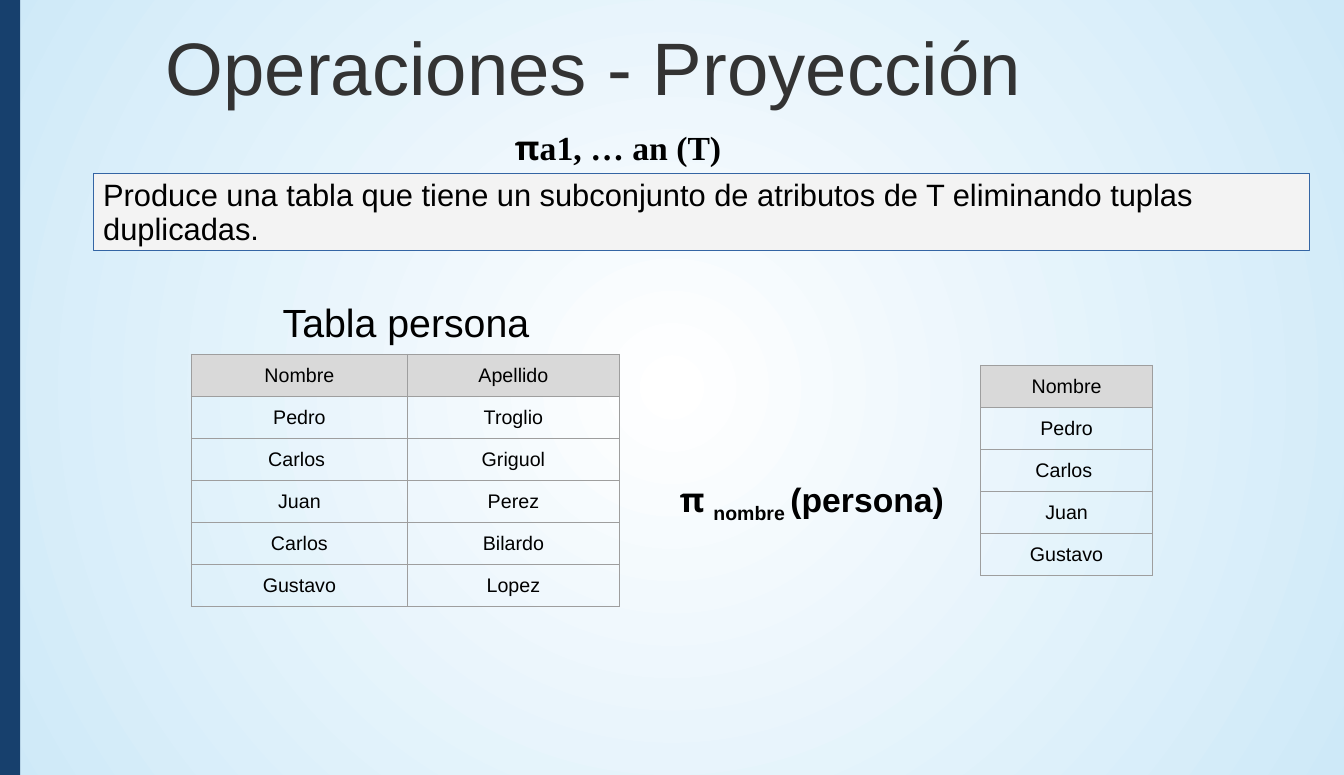
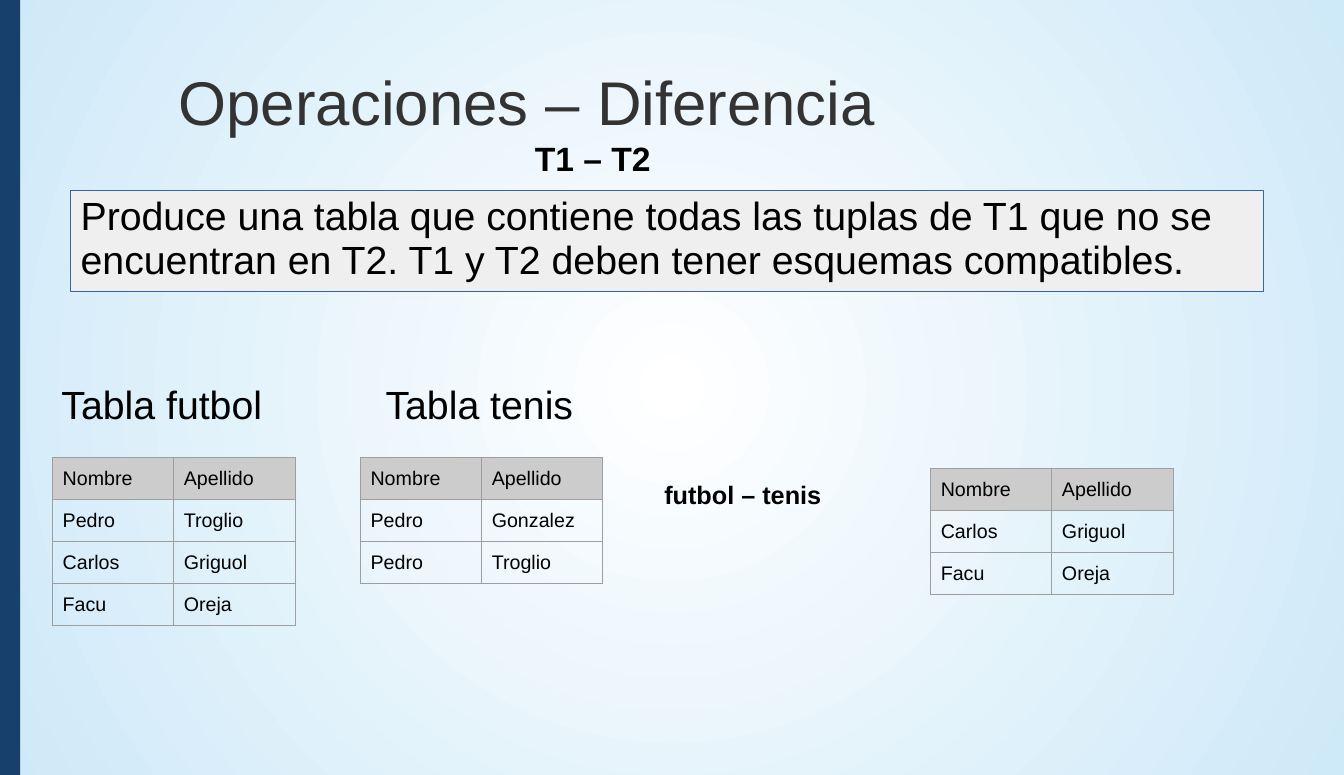
"""Two lesson slides on relational algebra: projection and difference."""
from dataclasses import dataclass
from lxml.etree import SubElement
from pptx import Presentation
from pptx.dml.color import RGBColor
from pptx.enum.shapes import MSO_SHAPE
from pptx.enum.text import MSO_ANCHOR, PP_ALIGN
from pptx.oxml import parse_xml
from pptx.oxml.ns import nsdecls, qn
from pptx.util import Cm, Inches, Pt


@dataclass(frozen=True)
class Theme:
    font: str = "Arial"
    serif: str = "Times New Roman"
    greek: str = "Noto Sans"
    ink: str = "000000"
    title: str = "333333"
    band: str = "17406D"
    edge: str = "3465A4"
    rule: str = "9E9E9E"
    glow: str = "FFFFFF"
    sky: str = "CEE9F8"
    cell: int = 14
    small: int = 18
    mid: int = 22
    head: int = 24
    big: int = 28


look = Theme()
deck = Presentation()
deck.slide_width, deck.slide_height = Cm(33.8), Cm(19.5)
col, row = deck.slide_width / 100, deck.slide_height / 100
LEFT, MID = PP_ALIGN.LEFT, PP_ALIGN.CENTER
PAD = dict(left=0.1, top=0.05, right=0.1, bottom=0.05)
WIDE = dict(left=0.12, top=0.06, right=0.12, bottom=0.06)
TIGHT = dict(left=0.1, top=0.1, right=0.1, bottom=0.08)
TALL = 5.43


def place(box):
    x, y, w, h = box
    return int(x * col), int(y * row), int(w * col), int(h * row)


def write(frame, runs, size, align=LEFT, space=None, bold=False, tint=look.ink):
    para = frame.paragraphs[0]
    para.alignment, para.line_spacing = align, space
    for words, face, base in runs:
        run = para.add_run()
        run.text = words
        for key, val in dict(name=face, size=Pt(size), bold=bold).items():
            setattr(run.font, key, val)
        run.font.color.rgb = RGBColor.from_string(tint)
        if base:
            run.font._element.set("baseline", str(base * 1000))


def plain(words):
    return [(words, look.font, 0)]


master = deck.slide_master
back = master.background.fill
back.gradient()
for stop, tint in zip(back.gradient_stops, (look.glow, look.sky)):
    stop.color.rgb = RGBColor.from_string(tint)
for lin in list(master.element.iter(qn("a:lin"))):
    ring = parse_xml(
        f'<a:path {nsdecls("a")} path="circle">'
        '<a:fillToRect l="50000" t="50000" r="50000" b="50000"/></a:path>')
    lin.getparent().replace(lin, ring)

pages = [
    dict(
        title=("Operaciones - Proyección", 53, 11.42, 1.95),
        note=("Produce una tabla que tiene un subconjunto de atributos de T "
              "eliminando tuplas duplicadas.",
              look.mid, "F3F3F3", (6.94, 22.4, 90.53, 9.9)),
        texts=[
            ((37.57, 14.71, 20.74, 6.51),
             [("π", look.greek, 0), ("a1, … an (T)", look.serif, 0)],
             dict(size=look.head, space=1.19, bold=True)),
            ((19.83, 38.38, 20.74, 7.29), plain("Tabla persona"),
             dict(size=look.big, space=0.93, align=MID)),
            ((46.13, 60.0, 28.55, 7.55),
             [("π ", look.greek, 0), ("nombre ", look.font, -25),
              ("(persona)", look.font, 0)],
             dict(size=look.head, space=1.19, bold=True, align=MID)),
        ],
        align=MID, shade="D9D9D9",
        tables=[
            (14.23, 45.7, (16.1, 15.75),
             [("Nombre", "Apellido"), ("Pedro", "Troglio"),
              ("Carlos ", "Griguol"), ("Juan", "Perez"),
              ("Carlos", "Bilardo"), ("Gustavo", "Lopez")]),
            (72.95, 47.14, (12.82,),
             [("Nombre",), ("Pedro",), ("Carlos ",), ("Juan",), ("Gustavo",)]),
        ]),
    dict(
        title=("Operaciones – Diferencia", 44, 12.4, 7.42),
        note=("Produce una tabla que contiene todas las tuplas de T1 que no se "
              "encuentran en T2. T1 y T2 deben tener esquemas compatibles.",
              look.big, "EFEFEF", (5.26, 24.6, 88.73, 13.02)),
        texts=[
            ((39.05, 17.45, 10.59, 6.51), plain("T1 – T2"),
             dict(size=look.head, space=0.96, bold=True)),
            ((48.69, 61.43, 14.8, 8.98), plain("futbol – tenis"),
             dict(size=look.small, space=0.96, bold=True)),
            ((3.83, 48.96, 18.18, 7.29), plain("Tabla futbol"),
             dict(size=look.big, space=0.93)),
            ((27.95, 48.96, 23.07, 7.29), plain("Tabla tenis"),
             dict(size=look.big, space=0.93)),
        ],
        align=LEFT, shade="CCCCCC",
        tables=[
            (3.91, 58.98, (9.02, 9.02),
             [("Nombre", "Apellido"), ("Pedro", "Troglio"),
              ("Carlos", "Griguol"), ("Facu", "Oreja")]),
            (26.82, 58.98, (9.02, 9.02),
             [("Nombre", "Apellido"), ("Pedro", "Gonzalez"),
              ("Pedro", "Troglio")]),
            (69.25, 60.4, (9.02, 9.02),
             [("Nombre", "Apellido"), ("Carlos", "Griguol"),
              ("Facu", "Oreja")]),
        ]),
]

for page in pages:
    slide = deck.slides.add_slide(deck.slide_layouts[6])
    shapes = slide.shapes

    if page is pages[0]:
        band = shapes.add_shape(MSO_SHAPE.RECTANGLE, *place((0, 0, 1.5, 100)))
        band.shadow.inherit = False
        band.fill.solid()
        band.fill.fore_color.rgb = RGBColor.from_string(look.band)
        band.line.fill.background()
        band.element.nvSpPr.cNvPr.set("id", "20")
        master.shapes.element.insert(2, band.element)

    words, size, x, y = page["title"]
    gist, mid, shade, spot = page["note"]
    items = [
        ((x, y, 89.2, 14.45), plain(words),
         dict(size=size, tint=look.title), WIDE, None),
        (spot, plain(gist), dict(size=mid, space=0.93), PAD, shade),
    ]
    items += [(*text, PAD, None) for text in page["texts"]]
    for box, runs, form, pad, fill in items:
        if fill:
            shape = shapes.add_shape(MSO_SHAPE.RECTANGLE, *place(box))
            shape.shadow.inherit = False
            shape.fill.solid()
            shape.fill.fore_color.rgb = RGBColor.from_string(fill)
            shape.line.color.rgb = RGBColor.from_string(look.edge)
            shape.line.width = Pt(0.75)
        else:
            shape = shapes.add_textbox(*place(box))
        frame = shape.text_frame
        frame.word_wrap, frame.vertical_anchor = True, MSO_ANCHOR.TOP
        for side, gap in pad.items():
            setattr(frame, f"margin_{side}", Inches(gap))
        write(frame, runs, **form)

    for x, y, cols, rows in page["tables"]:
        box = place((x, y, sum(cols), TALL * len(rows)))
        table = shapes.add_table(len(rows), len(cols), *box).table
        table.first_row = table.horz_banding = False
        for i, wide in enumerate(cols):
            table.columns[i].width = int(wide * col)
        for r, line in enumerate(rows):
            table.rows[r].height = int(TALL * row)
            for c, words in enumerate(line):
                cell = table.cell(r, c)
                for side, gap in TIGHT.items():
                    setattr(cell, f"margin_{side}", Inches(gap))
                write(cell.text_frame, plain(words), look.cell, page["align"])
                props = cell._tc.get_or_add_tcPr()
                for tag in ("a:lnL", "a:lnR", "a:lnT", "a:lnB"):
                    edge = SubElement(props, qn(tag), w=str(Pt(0.75)))
                    paint = SubElement(edge, qn("a:solidFill"))
                    SubElement(paint, qn("a:srgbClr"), val=look.rule)
                if r:
                    cell.fill.background()
                else:
                    cell.fill.solid()
                    cell.fill.fore_color.rgb = RGBColor.from_string(page["shade"])

deck.save("out.pptx")
